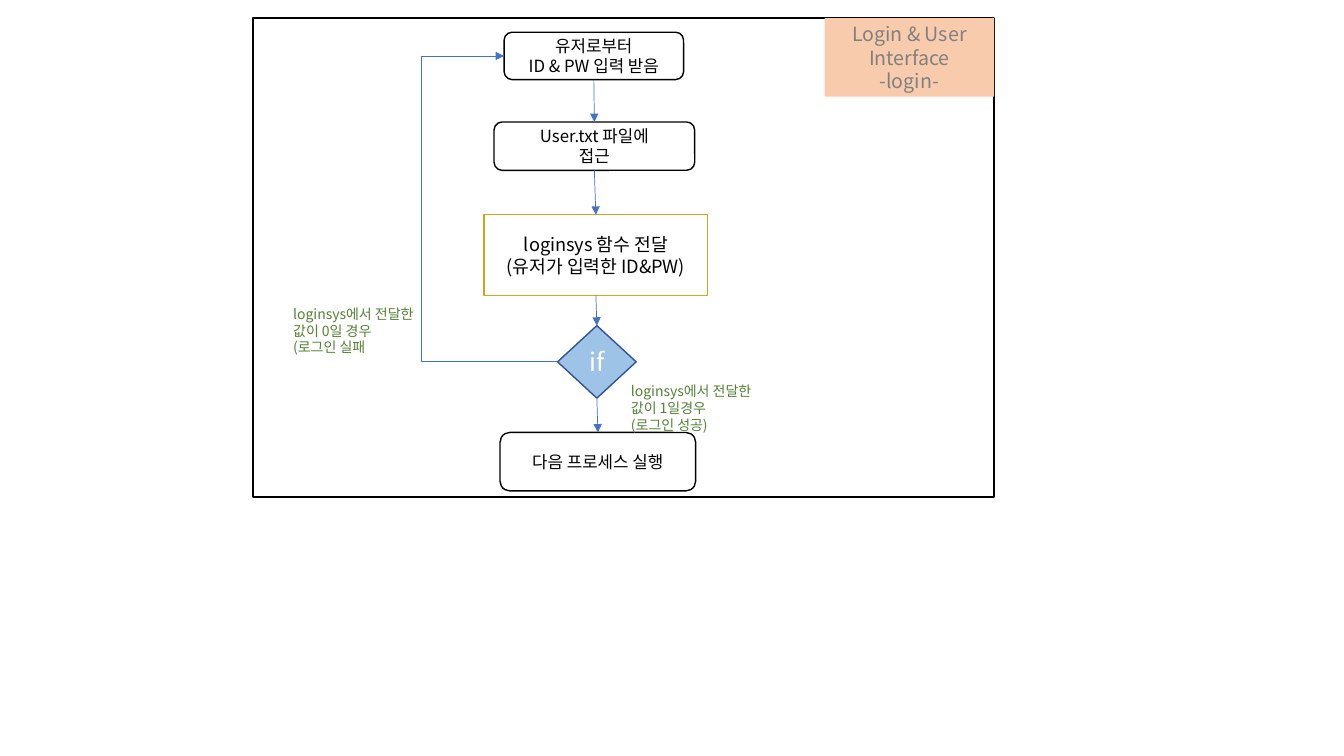
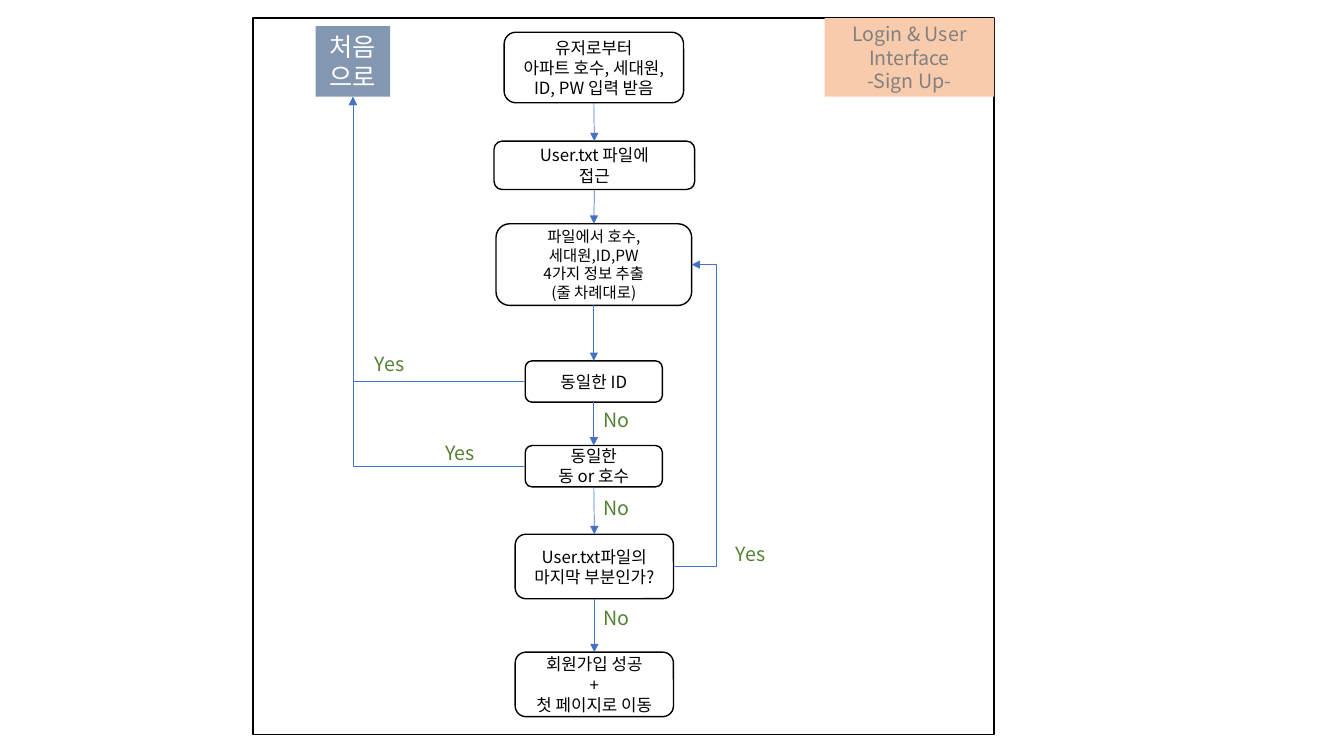
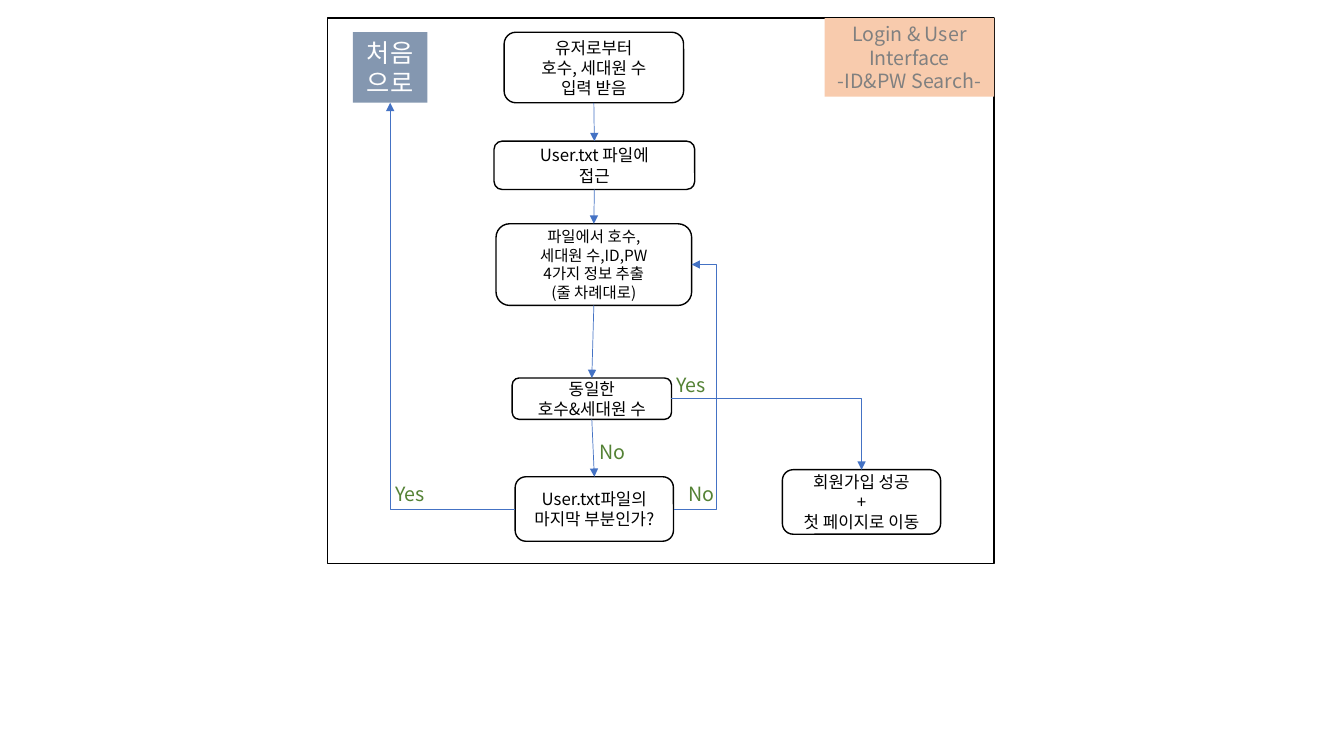
from dataclasses import dataclass

from lxml import etree
from pptx import Presentation
from pptx.dml.color import RGBColor
from pptx.enum import shapes, text
from pptx.oxml.ns import qn
from pptx.util import Emu, Pt

PX = 9144
SHAPE = shapes.MSO_SHAPE
ALIGN = text.PP_ALIGN


@dataclass(frozen=True)
class Style:
    size: int
    color: str
    shape: int = SHAPE.RECTANGLE
    fill: str = None
    line: str = None
    align: int = ALIGN.CENTER
    anchor: int = text.MSO_ANCHOR.MIDDLE


@dataclass(frozen=True)
class Theme:
    font: str = "Noto Sans CJK KR"
    black: str = "000000"
    white: str = "FFFFFF"
    green: str = "548235"
    arrow: str = "4472C4"
    outline: float = 1
    arrow_width: float = 0.5


THEME = Theme()
SIDE_NOTE = dict(color=THEME.green, align=ALIGN.LEFT, anchor=text.MSO_ANCHOR.TOP)
STYLES = {
    "title": Style(14, "808080", fill="F8CBAD"),
    "frame": Style(12, THEME.black, line=THEME.black),
    "step": Style(12, THEME.black, SHAPE.ROUNDED_RECTANGLE, line=THEME.black),
    "detail": Style(11, THEME.black, SHAPE.ROUNDED_RECTANGLE, line=THEME.black),
    "call": Style(13, THEME.black, line="CEA61D"),
    "test": Style(18, THEME.white, SHAPE.FLOWCHART_DECISION, "9DC3E6", "325491"),
    "home": Style(18, THEME.white, fill="8497B0"),
    "answer": Style(14, **SIDE_NOTE),
    "note": Style(10, **SIDE_NOTE),
}

SLIDE = (1333, 750)
FRAME_TOP, FRAME_RIGHT = 18, 986
TITLE_SIZE = (168, 78)
AXIS = 589
LOOP_LANE = 711
SIDES = {"top": 0, "left": 1, "bottom": 2, "right": 3}

OPEN_LINES = "User.txt 파일에\n접근"
LAST_LINES = "User.txt파일의\n마지막 부분인가?"
DONE_LINES = "회원가입 성공\n+\n첫 페이지로 이동"
OPEN = ("open", "step", AXIS, 140, 199, 48, OPEN_LINES)

PAGES = [
    {
        "title": "Login & User\nInterface\n-login-",
        "frame": (251, 475),
        "steps": [
            ("ask", "step", AXIS, 32, 178, 47, "유저로부터\nID & PW 입력 받음"),
            ("open", "step", AXIS, 121, 199, 48, OPEN_LINES),
            ("call", "call", 591, 213, 222, 80, "loginsys 함수 전달\n(유저가 입력한 ID&PW)"),
            ("test", "test", 592, 323, 78, 72, "if"),
            ("next", "step", 593, 429, 194, 58, "다음 프로세스 실행"),
        ],
        "chain": ["ask", "open", "call", "test", "next"],
        "bends": [("test", "left", "ask", "left", 418)],
        "labels": [
            ("note", 281, 298, 147, 60, "loginsys에서 전달한\n값이 0일 경우\n(로그인 실패"),
            ("note", 616, 375, 213, 59, "loginsys에서 전달한\n값이 1일경우\n(로그인 성공)"),
        ],
    },
    {
        "title": "Login & User\nInterface\n-Sign Up-",
        "frame": (251, 711),
        "steps": [
            ("ask", "step", AXIS, 32, 178, 70, "유저로부터\n아파트 호수, 세대원, ID, PW 입력 받음"),
            OPEN,
            ("extract", "detail", AXIS, 222, 194, 81,
             "파일에서 호수,\n세대원,ID,PW\n4가지 정보 추출\n(줄 차례대로)"),
            ("same id", "step", AXIS, 358, 136, 41, "동일한 ID"),
            ("same home", "step", AXIS, 442, 136, 41, "동일한\n동 or 호수"),
            ("last", "step", AXIS, 530, 157, 64, LAST_LINES),
            ("done", "step", AXIS, 647, 157, 64, DONE_LINES),
            ("home", "home", 350, 26, 74, 70, "처음으로"),
        ],
        "chain": ["ask", "open", "extract", "same id", "same home", "last", "done"],
        "bends": [
            ("same id", "left", "home", "bottom", None),
            ("same home", "left", "home", "bottom", None),
            ("last", "right", "extract", "right", LOOP_LANE),
        ],
        "labels": [
            ("answer", 362, 344, 50, 34, "Yes"),
            ("answer", 432, 433, 50, 34, "Yes"),
            ("answer", 720, 533, 50, 34, "Yes"),
            ("answer", 589, 400, 50, 34, "No"),
            ("answer", 589, 487, 50, 34, "No"),
            ("answer", 589, 596, 50, 34, "No"),
        ],
    },
    {
        "title": "Login & User\nInterface\n-ID&PW Search-",
        "frame": (325, 541),
        "steps": [
            ("ask", "step", AXIS, 32, 178, 70, "유저로부터\n호수, 세대원 수\n입력 받음"),
            OPEN,
            ("extract", "detail", AXIS, 222, 194, 81,
             "파일에서 호수,\n세대원 수,ID,PW\n4가지 정보 추출\n(줄 차례대로)"),
            ("same", "step", 587, 375, 158, 41, "동일한\n호수&세대원 수"),
            ("last", "step", AXIS, 473, 157, 64, LAST_LINES),
            ("done", "step", 854, 466, 157, 64, DONE_LINES),
            ("home", "home", 387, 32, 74, 70, "처음으로"),
        ],
        "chain": ["ask", "open", "extract", "same", "last"],
        "bends": [
            ("last", "left", "home", "bottom", None),
            ("last", "right", "extract", "right", LOOP_LANE),
            ("same", "right", "done", "top", None),
        ],
        "labels": [
            ("answer", 661, 365, 50, 34, "Yes"),
            ("answer", 382, 473, 50, 34, "Yes"),
            ("answer", 585, 432, 50, 34, "No"),
            ("answer", 673, 473, 50, 34, "No"),
        ],
    },
]


def px(*lengths):
    return [Emu(length * PX) for length in lengths]


def write(box, words, style):
    frame = box.text_frame
    frame.text = words
    frame.word_wrap = True
    frame.auto_size = text.MSO_AUTO_SIZE.NONE
    frame.vertical_anchor = style.anchor
    for para in frame.paragraphs:
        para.alignment = style.align
        para.font.size = Pt(style.size)
        para.font.color.rgb = RGBColor.from_string(style.color)
        para.font.name = THEME.font
    for defaults in box.element.iter(qn("a:defRPr")):
        etree.SubElement(defaults, qn("a:ea"), typeface=THEME.font)


def paint(box, style):
    if style.fill:
        box.fill.solid()
        box.fill.fore_color.rgb = RGBColor.from_string(style.fill)
    else:
        box.fill.background()
    if style.line:
        box.line.color.rgb = RGBColor.from_string(style.line)
        box.line.width = Pt(THEME.outline)
    else:
        box.line.fill.background()


def add_box(page, kind, left, top, width, height, words=""):
    style = STYLES[kind]
    box = page.shapes.add_shape(style.shape, *px(left, top, width, height))
    box.shadow.inherit = False
    paint(box, style)
    if words:
        write(box, words, style)
    return box


def add_label(page, kind, left, top, width, height, words):
    label = page.shapes.add_textbox(*px(left, top, width, height))
    write(label, words, STYLES[kind])
    label.text_frame.margin_right = 0


def add_title(page, words):
    title = page.shapes.title
    width, height = TITLE_SIZE
    title.left, title.top, title.width, title.height = px(
        FRAME_RIGHT - width, FRAME_TOP, width, height)
    paint(title, STYLES["title"])
    write(title, words, STYLES["title"])
    return title


def add_arrow(page, start, start_side, end, end_side, kind):
    arrow = page.shapes.add_connector(kind, 0, 0, 0, 0)
    arrow.begin_connect(start, SIDES[start_side])
    arrow.end_connect(end, SIDES[end_side])
    arrow.line.color.rgb = RGBColor.from_string(THEME.arrow)
    arrow.line.width = Pt(THEME.arrow_width)
    properties = arrow.element.spPr
    etree.SubElement(properties.find(qn("a:ln")), qn("a:tailEnd"), type="triangle")
    etree.SubElement(properties, qn("a:effectLst"))
    return arrow


def bend(arrow, lane):
    properties = arrow.element.spPr
    geometry = properties.find(qn("a:prstGeom"))
    if lane is None:
        geometry.set("prst", "bentConnector2")
        frame = properties.find(qn("a:xfrm"))
        if frame.get("flipH") and frame.get("flipV"):
            del frame.attrib["flipH"], frame.attrib["flipV"]
            frame.set("rot", "10800000")
        return
    share = (lane * PX - arrow.begin_x) / (arrow.end_x - arrow.begin_x)
    guides = geometry.find(qn("a:avLst"))
    if guides is None:
        guides = etree.SubElement(geometry, qn("a:avLst"))
    etree.SubElement(guides, qn("a:gd"), name="adj1", fmla=f"val {round(share * 100000)}")


def build_page(deck, content):
    page = deck.slides.add_slide(deck.slide_layouts[5])
    title = add_title(page, content["title"])
    left, height = content["frame"]
    frame = add_box(page, "frame", left, FRAME_TOP, FRAME_RIGHT - left, height)
    title.element.addprevious(frame.element)
    boxes = {
        name: add_box(page, kind, centre - width // 2, top, width, tall, words)
        for name, kind, centre, top, width, tall, words in content["steps"]
    }
    for start, end in zip(content["chain"], content["chain"][1:]):
        add_arrow(page, boxes[start], "bottom", boxes[end], "top",
                  shapes.MSO_CONNECTOR.STRAIGHT)
    for start, start_side, end, end_side, lane in content["bends"]:
        arrow = add_arrow(page, boxes[start], start_side, boxes[end], end_side,
                          shapes.MSO_CONNECTOR.ELBOW)
        bend(arrow, lane)
    for label in content["labels"]:
        add_label(page, *label)


def main():
    deck = Presentation()
    deck.slide_width, deck.slide_height = px(*SLIDE)
    for content in PAGES:
        build_page(deck, content)
    deck.save("out.pptx")


if __name__ == "__main__":
    main()
